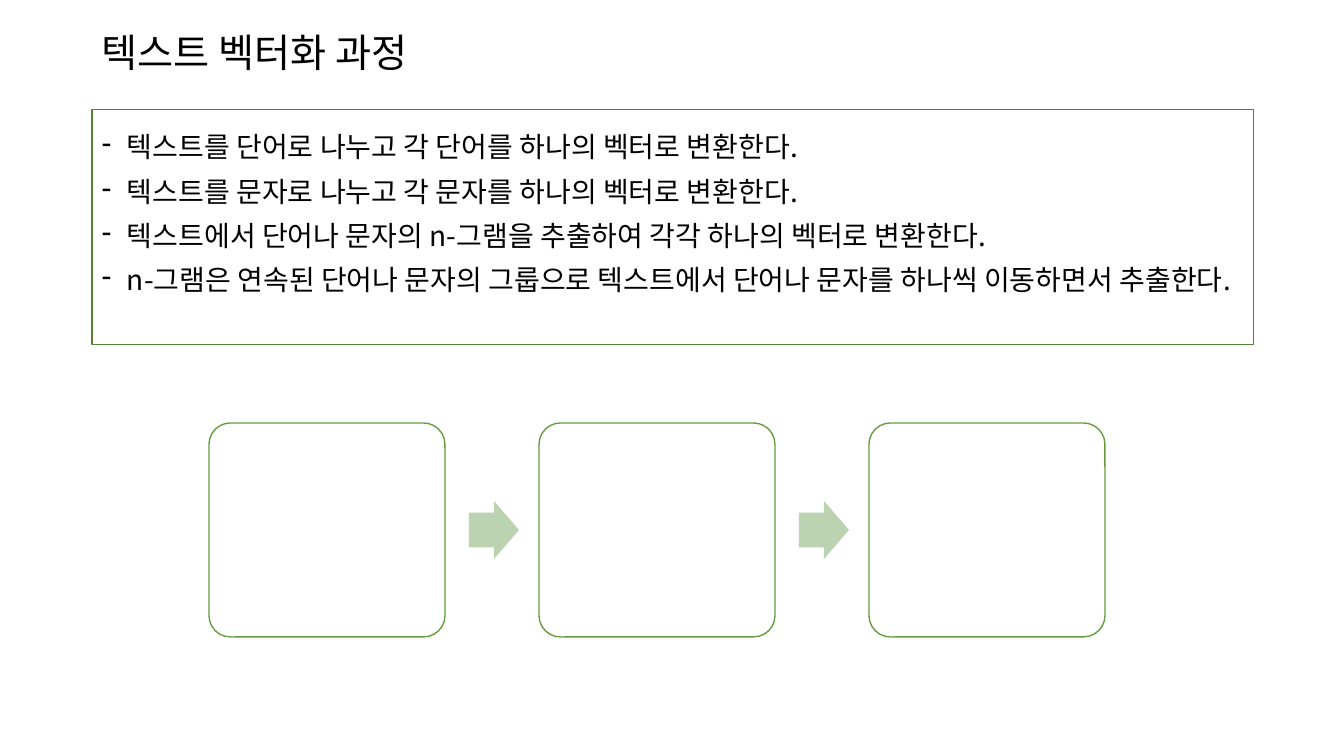
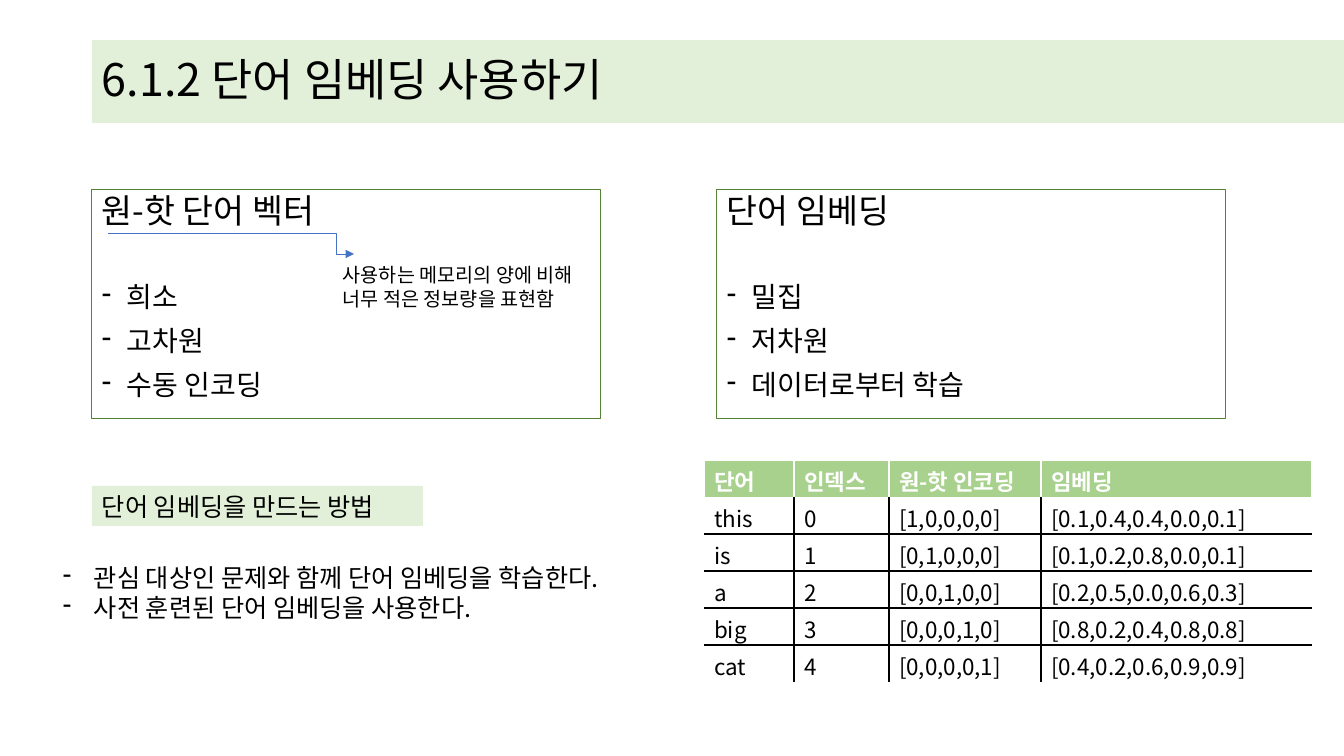
import pptx
import pptx.util
import pptx.dml.color
import pptx.enum.shapes
import pptx.enum.text
import pptx.oxml
import pptx.oxml.ns
import lxml.etree

RGBColor = pptx.dml.color.RGBColor
Pt = pptx.util.Pt
SHAPE = pptx.enum.shapes.MSO_SHAPE
ANCHOR = pptx.enum.text.MSO_ANCHOR
qn = pptx.oxml.ns.qn

BLACK = RGBColor(0x00, 0x00, 0x00)
WHITE = RGBColor(0xFF, 0xFF, 0xFF)
FRAME_GREEN = RGBColor(0x54, 0x82, 0x35)
STEP_GREEN = RGBColor(0x66, 0x9D, 0x40)
ARROW_GREEN = RGBColor(0xBB, 0xD3, 0xB1)
BAND_GREEN = RGBColor(0xE2, 0xF0, 0xD9)
HEADER_GREEN = RGBColor(0xA9, 0xD1, 0x8E)
POINTER_BLUE = RGBColor(0x44, 0x72, 0xC4)
FONT = "Noto Sans CJK KR"
PLAIN_TABLE = "{2D5ABB26-0587-4C30-8999-92F81FD0307C}"
EMU_PER_PIXEL = 914400 / 100.8
LEFT = 92


def px(length):
    return pptx.util.Emu(round(length * EMU_PER_PIXEL))


def add_xml(parent, tag, **attributes):
    child = lxml.etree.SubElement(parent, qn(tag))
    for name, value in attributes.items():
        child.set(name, str(value))
    return child


def write(para, text, size, color=BLACK, bold=False):
    span = para.add_run()
    span.text = text
    font = span.font
    font.name, font.size, font.bold = FONT, Pt(size), bold
    font.color.rgb = color
    add_xml(span.font._element, "a:ea", typeface=FONT)


def fill_text(frame, lines, anchor=ANCHOR.TOP):
    frame.word_wrap = True
    frame.vertical_anchor = anchor
    for number, line in enumerate(lines):
        para = frame.add_paragraph() if number else frame.paragraphs[0]
        para.alignment = pptx.enum.text.PP_ALIGN.LEFT
        para.line_spacing = line.get("spacing", 1.0)
        para.space_before = Pt(line.get("before", 0))
        if "indent" in line:
            properties = para._p.get_or_add_pPr()
            properties.set("marL", str(px(line["indent"])))
            properties.set("indent", str(-px(line["indent"])))
            add_xml(properties, "a:buChar", char="-")
        write(para, line["text"], line["size"])


def topic_lines(heading, size, items, gap):
    lines = [dict(text=heading, size=size, spacing=0.9, before=10)]
    for number, item in enumerate(items):
        lines.append(dict(text=item, size=20, spacing=0.9, indent=25,
                          before=10 if number else gap))
    return lines


def add_box(page, kind, box, fill=None, line=None, width=0.75):
    shape = page.shapes.add_shape(kind, *map(px, box))
    shape.shadow.inherit = False
    if fill is None:
        shape.fill.background()
    else:
        shape.fill.solid()
        shape.fill.fore_color.rgb = fill
    if line is None:
        shape.line.fill.background()
    else:
        shape.line.color.rgb = line
        shape.line.width = Pt(width)
    return shape


def add_text(page, box, lines):
    fill_text(page.shapes.add_textbox(*map(px, box)).text_frame, lines)


def add_title_band(page, box, title):
    band = add_box(page, SHAPE.RECTANGLE, box, fill=BAND_GREEN)
    fill_text(band.text_frame, [dict(text=title, size=32, spacing=0.9)], ANCHOR.MIDDLE)


def add_label(page, box, text):
    label = add_box(page, SHAPE.RECTANGLE, box, fill=BAND_GREEN)
    fill_text(label.text_frame, [dict(text=text, size=18)])


def add_topic(page, box, heading, items):
    card = add_box(page, SHAPE.RECTANGLE, box, line=FRAME_GREEN)
    fill_text(card.text_frame, topic_lines(heading, 24, items, 37))


def add_process(page, box, count):
    left, top, width, height = box
    step_width, arrow_width, arrow_height = 236, 50, 58
    pitch = (width - step_width) // (count - 1)
    for number in range(count):
        x = left + number * pitch
        step = add_box(page, SHAPE.ROUNDED_RECTANGLE, (x, top, step_width, height),
                       WHITE, STEP_GREEN, 1)
        step.adjustments[0] = 0.1
        if number < count - 1:
            arrow = add_box(page, SHAPE.RIGHT_ARROW,
                            (x + 260, top + (height - arrow_height) // 2,
                             arrow_width, arrow_height), ARROW_GREEN)
            arrow.adjustments[0] = 0.6
            arrow.adjustments[1] = 0.5


def add_pointer(page, box):
    left, top, width, height = box
    pointer = page.shapes.add_connector(
        pptx.enum.shapes.MSO_CONNECTOR.ELBOW,
        px(left), px(top), px(left + width), px(top + height))
    pointer.line.color.rgb = POINTER_BLUE
    pointer.line.width = Pt(0.5)
    properties = pointer.element.spPr
    add_xml(properties.find(qn("a:ln")), "a:tailEnd", type="triangle")
    add_xml(properties, "a:effectLst")
    guides = properties.find(qn("a:prstGeom")).get_or_add_avLst()
    add_xml(guides, "a:gd", name="adj1", fmla="val 93000")


def add_borders(cell, sides, color):
    properties = cell._tc.get_or_add_tcPr()
    for side in sides:
        border = add_xml(properties, "a:ln" + side, w=Pt(1))
        add_xml(add_xml(border, "a:solidFill"), "a:srgbClr", val=color)


def add_word_table(page, box, widths, rows):
    frame = page.shapes.add_table(len(rows), len(widths), *map(px, box))
    frame.element.find(".//" + qn("a:tableStyleId")).text = PLAIN_TABLE
    table = frame.table
    table.horz_banding = False
    for column, width in zip(table.columns, widths):
        column.width = px(width)
    last_row, last_column = len(rows) - 1, len(widths) - 1
    for r, values in enumerate(rows):
        table.rows[r].height = px(box[3] / len(rows))
        for c, value in enumerate(values):
            cell = table.cell(r, c)
            if r == 0:
                add_borders(cell, "LRT", WHITE)
                cell.fill.solid()
                cell.fill.fore_color.rgb = HEADER_GREEN
            else:
                shown = {"L": c > 0, "R": c < last_column, "T": r > 1, "B": r < last_row}
                add_borders(cell, [side for side in shown if shown[side]], BLACK)
                cell.fill.background()
            write(cell.text_frame.paragraphs[0], value, 16,
                  BLACK if r else WHITE, bold=r == 0)


def build_vectorizing(page):
    add_text(page, (LEFT, 29, 1159, 318), topic_lines("텍스트 벡터화 과정", 28, [
        "텍스트를 단어로 나누고 각 단어를 하나의 벡터로 변환한다.",
        "텍스트를 문자로 나누고 각 문자를 하나의 벡터로 변환한다.",
        "텍스트에서 단어나 문자의 n-그램을 추출하여 각각 하나의 벡터로 변환한다.",
        "n-그램은 연속된 단어나 문자의 그룹으로 텍스트에서 단어나 문자를 하나씩 이동하면서 추출한다.",
    ], 41))
    add_box(page, SHAPE.RECTANGLE, (LEFT, 110, 1162, 235), line=FRAME_GREEN)
    add_process(page, (209, 423, 896, 214), 3)


def build_embedding(page):
    add_title_band(page, (LEFT, 40, 1252, 83), "6.1.2 단어 임베딩 사용하기")
    add_topic(page, (LEFT, 190, 509, 229), "원-핫 단어 벡터", ["희소", "고차원", "수동 인코딩"])
    add_topic(page, (717, 190, 509, 229), "단어 임베딩", ["밀집", "저차원", "데이터로부터 학습"])
    add_label(page, (LEFT, 486, 331, 40), "단어 임베딩을 만드는 방법")
    methods = ["관심 대상인 문제와 함께 단어 임베딩을 학습한다.", "사전 훈련된 단어 임베딩을 사용한다."]
    add_text(page, (53, 557, 612, 72), [dict(text=text, size=18, indent=31) for text in methods])
    add_pointer(page, (108, 233, 246, 21))
    add_text(page, (333, 258, 282, 58),
             [dict(text="사용하는 메모리의 양에 비해 너무 적은 정보량을 표현함", size=14)])
    add_word_table(page, (704, 460, 608, 222), (90, 95, 152, 271), [
        ("단어", "인덱스", "원-핫 인코딩", "임베딩"),
        ("this", "0", "[1,0,0,0,0]", "[0.1,0.4,0.4,0.0,0.1]"),
        ("is", "1", "[0,1,0,0,0]", "[0.1,0.2,0.8,0.0,0.1]"),
        ("a", "2", "[0,0,1,0,0]", "[0.2,0.5,0.0,0.6,0.3]"),
        ("big", "3", "[0,0,0,1,0]", "[0.8,0.2,0.4,0.8,0.8]"),
        ("cat", "4", "[0,0,0,0,1]", "[0.4,0.2,0.6,0.9,0.9]"),
    ])


deck = pptx.Presentation()
deck.slide_width, deck.slide_height = px(1344), px(756)
for build in (build_vectorizing, build_embedding):
    build(deck.slides.add_slide(deck.slide_layouts[6]))
deck.save("out.pptx")
